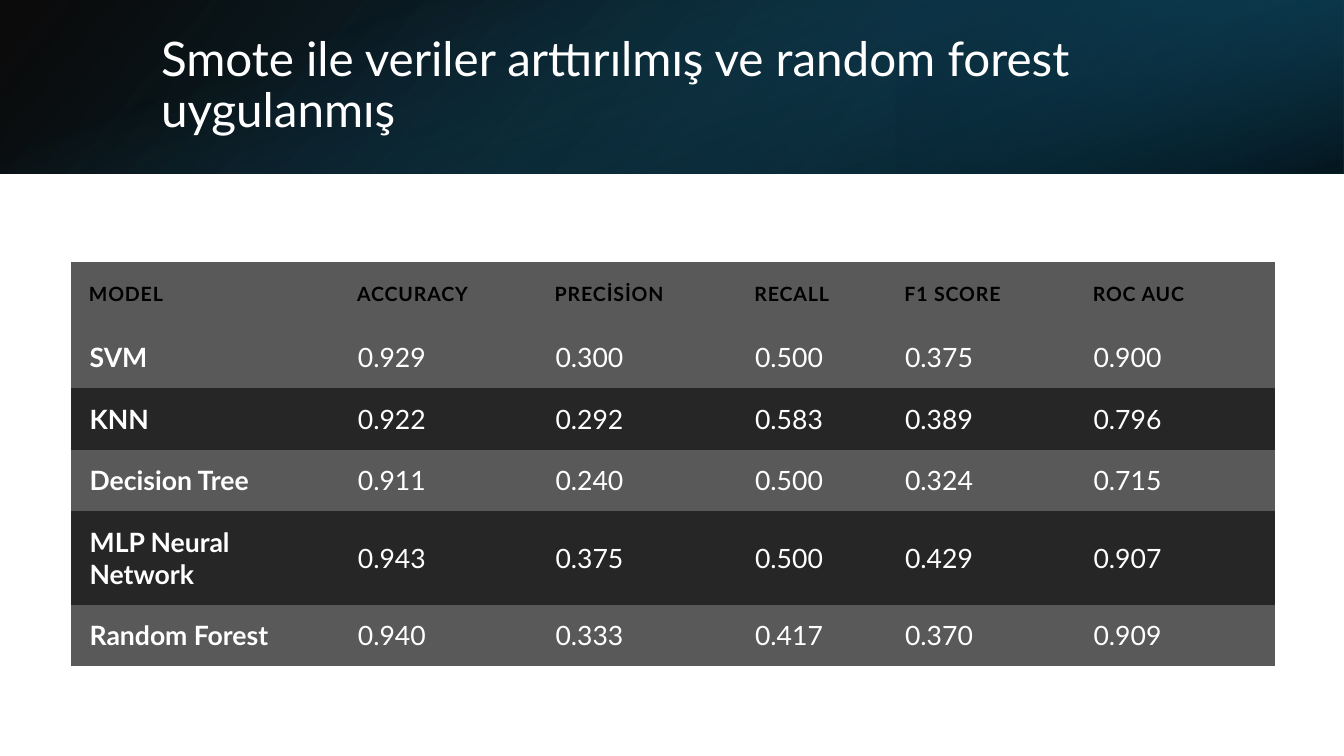
from pptx import Presentation
from pptx.dml.color import RGBColor
from pptx.enum.shapes import MSO_SHAPE
from pptx.enum.text import MSO_ANCHOR
from pptx.oxml.ns import qn
from pptx.oxml.xmlchemy import OxmlElement
from pptx.util import Cm, Pt

RECTANGLE = MSO_SHAPE.RECTANGLE
MIDDLE = MSO_ANCHOR.MIDDLE

TITLE = "Smote ile veriler arttırılmış ve random forest uygulanmış"
HEADINGS = ["MODEL", "ACCURACY", "PRECİSİON", "RECALL", "F1 SCORE", "ROC AUC"]
MODELS = [
    ("SVM", "0.929", "0.300", "0.500", "0.375", "0.900"),
    ("KNN", "0.922", "0.292", "0.583", "0.389", "0.796"),
    ("Decision Tree", "0.911", "0.240", "0.500", "0.324", "0.715"),
    ("MLP Neural Network", "0.943", "0.375", "0.500", "0.429", "0.907"),
    ("Random Forest", "0.940", "0.333", "0.417", "0.370", "0.909"),
]

FONT = "Lato"
WHITE, BLACK, GREY, DARK = "FFFFFF", "000000", "595959", "262626"
PAGE_WIDTH, PAGE_HEIGHT, BAND_HEIGHT = 33.87, 19.05, 4.37
TABLE_LEFT, TABLE_TOP = 1.78, 6.6
COLUMN_WIDTHS = [6.76, 4.98, 5.03, 3.78, 4.75, 5.05]
ROW_HEIGHTS = [1.63, 1.55, 1.55, 1.55, 2.36, 1.55]
SIDE = PAGE_WIDTH / 3  # width of the lighter part at the right of the band
TURNED_OFFSET = (PAGE_WIDTH - BAND_HEIGHT) / 2

# box, rotation, flipped, clockwise gradient angle, stops (position, colour, opacity)
BAND_LAYERS = [
    ((0, 0, PAGE_WIDTH, BAND_HEIGHT), 0, True, 140,
     [(0, "000000", 96), (100, "104862", 100)]),
    ((PAGE_WIDTH - SIDE, 0, SIDE, BAND_HEIGHT), 180, True, 320,
     [(19, "0B3041", 68), (100, "156082", 79)]),
    ((TURNED_OFFSET, -TURNED_OFFSET, BAND_HEIGHT, PAGE_WIDTH), 90, False, 340,
     [(23, "156082", 0), (99, "000000", 74)]),
]


def colour(value):
    return RGBColor.from_string(value)


def lengths(box):
    return [Cm(value) for value in box]


def write(frame, text, size, shade, bold=False, spacing=0, line_spacing=None):
    paragraph = frame.paragraphs[0]
    paragraph.line_spacing = line_spacing
    span = paragraph.add_run()
    span.text = text
    span.font.name = FONT
    span.font.size = Pt(size)
    span.font.bold = bold
    span.font.color.rgb = colour(shade)
    if spacing:
        span.font._element.set("spc", str(round(spacing * 100)))


def add_layer(page, box, rotation, flipped, angle, stops):
    """Add a rectangle with a partly transparent gradient."""
    layer = page.shapes.add_shape(RECTANGLE, *lengths(box))
    layer.shadow.inherit = False
    layer.line.fill.background()
    layer.rotation = rotation
    if flipped:
        layer._element.spPr.find(qn("a:xfrm")).set("flipH", "1")
    layer.fill.gradient()
    layer.fill.gradient_angle = 360 - angle
    for stop, (position, shade, _) in zip(layer.fill.gradient_stops, stops):
        stop.position = position / 100
        stop.color.rgb = colour(shade)
    colours = layer._element.spPr.iter(qn("a:srgbClr"))
    for element, (_, _, opacity) in zip(list(colours), stops):
        alpha = OxmlElement("a:alpha")
        alpha.set("val", str(opacity * 1000))
        element.append(alpha)


def add_title(page):
    box = page.shapes.add_textbox(*lengths((3.81, 0.97, 27.89, 2.44)))
    box.text_frame.word_wrap = True
    box.text_frame.vertical_anchor = MIDDLE
    write(box.text_frame, TITLE, 34, WHITE, line_spacing=0.9)


def add_scores(page):
    rows = [HEADINGS, *MODELS]
    box = (TABLE_LEFT, TABLE_TOP, sum(COLUMN_WIDTHS), sum(ROW_HEIGHTS))
    table = page.shapes.add_table(len(rows), len(HEADINGS), *lengths(box)).table
    for column, width in zip(table.columns, COLUMN_WIDTHS):
        column.width = Cm(width)
    for row, height in zip(table.rows, ROW_HEIGHTS):
        row.height = Cm(height)
    for row_index, values in enumerate(rows):
        heading = row_index == 0
        shade = GREY if heading or row_index % 2 else DARK
        side, top = (0.46, 0.46) if heading else (0.48, 0.3)
        for column_index, value in enumerate(values):
            cell = table.cell(row_index, column_index)
            cell.fill.solid()
            cell.fill.fore_color.rgb = colour(shade)
            cell.vertical_anchor = MIDDLE
            cell.margin_left = cell.margin_right = Cm(side)
            cell.margin_top = cell.margin_bottom = Cm(top)
            if heading:
                write(cell.text_frame, value, 14, BLACK, bold=True, spacing=0.6)
            else:
                write(cell.text_frame, value, 19, WHITE, bold=column_index == 0)
            for side_name in ("a:lnL", "a:lnR", "a:lnT", "a:lnB"):
                border = OxmlElement(side_name)
                border.append(OxmlElement("a:noFill"))
                properties = cell._tc.tcPr
                properties.insert(len(properties) - 1, border)


def main():
    deck = Presentation()
    deck.slide_width, deck.slide_height = Cm(PAGE_WIDTH), Cm(PAGE_HEIGHT)
    page = deck.slides.add_slide(deck.slide_layouts[6])
    page.background.fill.solid()
    page.background.fill.fore_color.rgb = colour(WHITE)
    for layer in BAND_LAYERS:
        add_layer(page, *layer)
    add_title(page)
    add_scores(page)
    deck.save("out.pptx")


if __name__ == "__main__":
    main()
